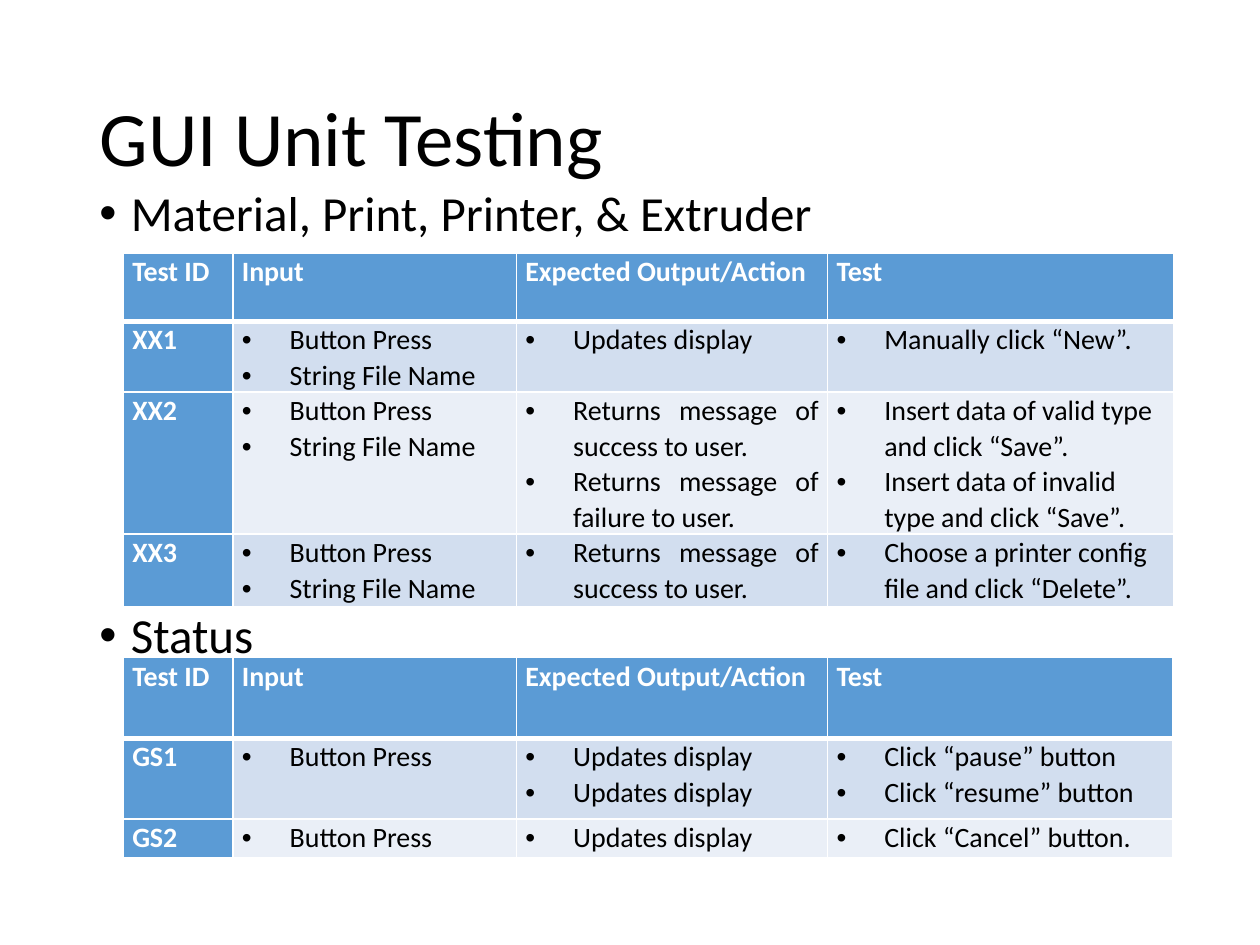
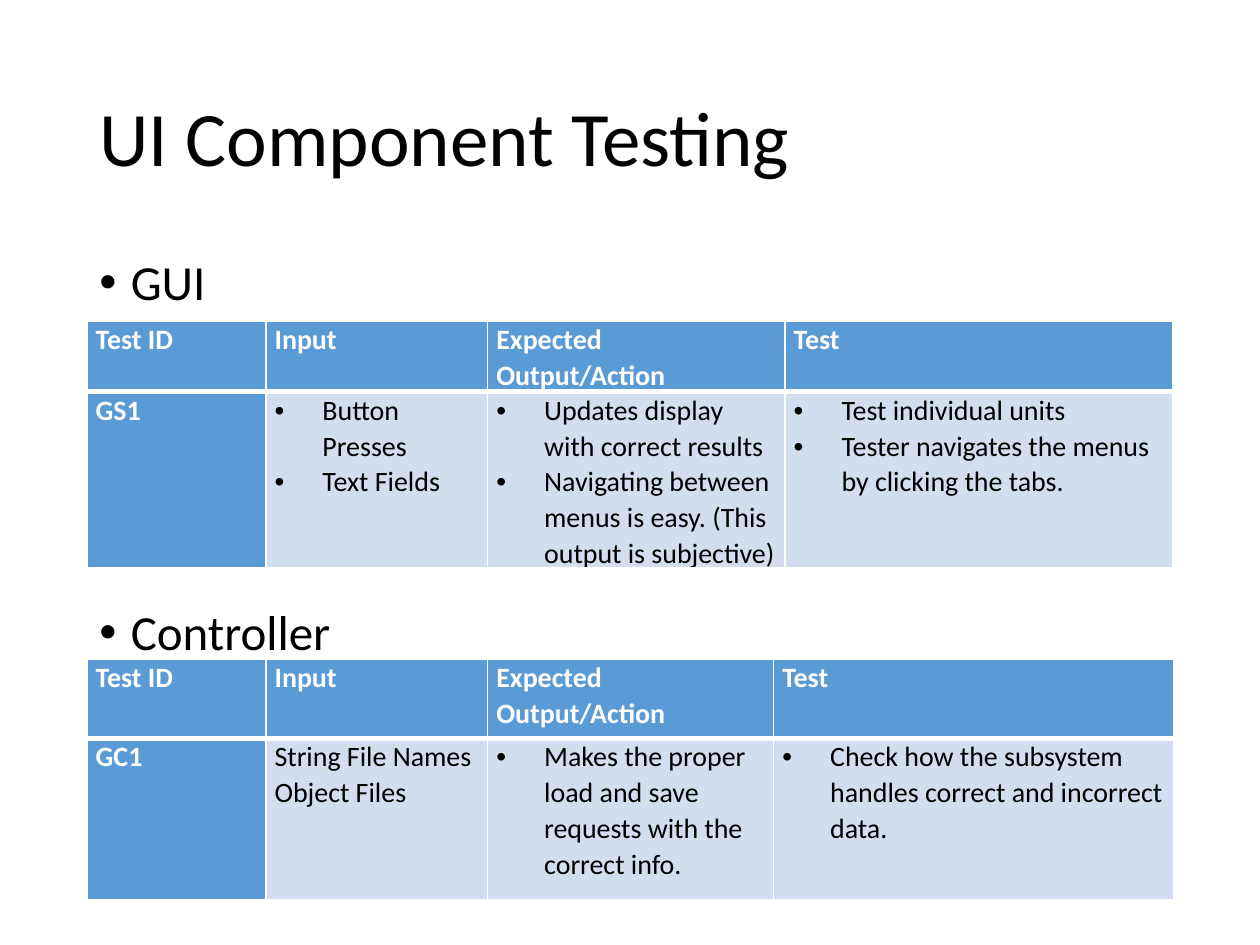
from pptx import Presentation
from pptx.dml.color import RGBColor
from pptx.enum import text
from pptx.oxml import parse_xml
from pptx.oxml.ns import nsdecls
from pptx.util import Inches, Pt

FONT = "Calibri"
BLACK = RGBColor(0x00, 0x00, 0x00)
WHITE = RGBColor(0xFF, 0xFF, 0xFF)
BLUE = RGBColor(0x5B, 0x9B, 0xD5)
BANDS = [RGBColor(0xD2, 0xDE, 0xEF), RGBColor(0xEA, 0xEF, 0xF7)]
LEFT, JUSTIFY = text.PP_ALIGN.LEFT, text.PP_ALIGN.JUSTIFY
HEADER = ["Test ID", "Input", "Expected Output/Action", "Test"]

# Cells hold a list of paragraphs; "plain" names cells (row, column) without bullets
SLIDES = [
    {
        "title": "GUI Unit Testing",
        "headings": ["Material, Print, Printer, & Extruder", "Status"],
        "headings_top": 1.45,
        "heading_gap": 211,
        "output_align": JUSTIFY,
        "tables": [
            {
                "left": 0.98, "top": 2.01, "plain": [],
                "columns": [0.87, 2.25, 2.47, 2.75],
                "heights": [0.54, 0.56, 1.13, 0.58],
                "rows": [
                    ["XX1", ["Button Press", "String File Name"],
                     ["Updates display"], ["Manually click “New”."]],
                    ["XX2", ["Button Press", "String File Name"],
                     ["Returns message of success to user.",
                      "Returns message of failure to user."],
                     ["Insert data of valid type and click “Save”.",
                      "Insert data of invalid type and click “Save”."]],
                    ["XX3", ["Button Press", "String File Name"],
                     ["Returns message of success to user."],
                     ["Choose a printer config file and click “Delete”."]],
                ],
            },
            {
                "left": 0.98, "top": 5.22, "plain": [],
                "columns": [0.87, 2.25, 2.47, 2.74],
                "heights": [0.64, 0.64, 0.31],
                "rows": [
                    ["GS1", ["Button Press"], ["Updates display", "Updates display"],
                     ["Click “pause” button", "Click “resume” button"]],
                    ["GS2", ["Button Press"], ["Updates display"],
                     ["Click “Cancel” button."]],
                ],
            },
        ],
    },
    {
        "title": "UI Component Testing",
        "headings": ["GUI", "Controller"],
        "headings_top": 2,
        "heading_gap": 170,
        "output_align": LEFT,
        "tables": [
            {
                "left": 0.69, "top": 2.55, "plain": [],
                "columns": [1.42, 1.76, 2.36, 3.08],
                "heights": [0.52, 1.33],
                "rows": [
                    ["GS1", ["Button Presses", "Text Fields"],
                     ["Updates display with correct results",
                      "Navigating between menus is easy. (This output is subjective)"],
                     ["Test individual units",
                      "Tester navigates the menus by clicking the tabs."]],
                ],
            },
            {
                "left": 0.69, "top": 5.23, "plain": [(1, 1)],
                "columns": [1.42, 1.76, 2.27, 3.18],
                "heights": [0.63, 1.28],
                "rows": [
                    ["GC1", ["String File Names", "Object Files"],
                     ["Makes the proper load and save requests with the correct info."],
                     ["Check how the subsystem handles correct and incorrect data."]],
                ],
            },
        ],
    },
]


def write_para(para, words, size, spacing, align=LEFT, color=BLACK, bold=False, indent=0):
    """Fill one paragraph; an indent above zero gives it a hanging bullet."""
    if indent:
        props = para._p.get_or_add_pPr()
        props.set("marL", str(Inches(indent)))
        props.set("indent", str(-Inches(indent)))
        props.append(parse_xml(f'<a:buFont {nsdecls("a")} typeface="Arial"/>'))
        props.append(parse_xml(f'<a:buChar {nsdecls("a")} char="•"/>'))
    para.alignment = align
    para.line_spacing = spacing
    span = para.add_run()
    span.text = words
    span.font.name = FONT
    span.font.size = Pt(size)
    span.font.bold = bold
    span.font.color.rgb = color


def style_cell(cell, fill, top_width, bottom_width):
    """Set the fill, margins and white borders of one cell."""
    cell.fill.solid()
    cell.fill.fore_color.rgb = fill
    cell.margin_left = cell.margin_right = Inches(0.07)
    cell.margin_top = cell.margin_bottom = 0
    props = cell._tc.get_or_add_tcPr()
    sides = [("lnL", 1), ("lnR", 1), ("lnT", top_width), ("lnB", bottom_width)]
    for place, (side, width) in enumerate(sides):
        props.insert(place, parse_xml(
            f'<a:{side} {nsdecls("a")} w="{Pt(width)}"><a:solidFill>'
            f'<a:srgbClr val="{WHITE}"/></a:solidFill></a:{side}>'))


deck = Presentation()
deck.slide_width, deck.slide_height = Inches(10), Inches(7.5)

for content in SLIDES:
    page = deck.slides.add_slide(deck.slide_layouts[5])

    # Title
    title = page.shapes.title
    title.left, title.top = Inches(0.69), Inches(0.4)
    title.width, title.height = Inches(8.62), Inches(1.45)
    title.text_frame.auto_size = text.MSO_AUTO_SIZE.NONE
    title.text_frame.vertical_anchor = text.MSO_ANCHOR.MIDDLE
    write_para(title.text_frame.paragraphs[0], content["title"], 44, 0.9)

    # Headings above the two tables
    box = page.shapes.add_textbox(
        Inches(0.69), Inches(content["headings_top"]), Inches(8.62), Inches(4.76))
    box.text_frame.word_wrap = True
    first, second = content["headings"]
    write_para(box.text_frame.paragraphs[0], first, 28, 0.9, indent=0.25)
    para = box.text_frame.add_paragraph()
    write_para(para, second, 28, 0.9, indent=0.25)
    para.space_before = Pt(content["heading_gap"])

    # Test tables
    for plan in content["tables"]:
        rows = [HEADER] + plan["rows"]
        table = page.shapes.add_table(
            len(rows), len(HEADER), Inches(plan["left"]), Inches(plan["top"]),
            Inches(sum(plan["columns"])), Inches(sum(plan["heights"]))).table
        for column, width in zip(table.columns, plan["columns"]):
            column.width = Inches(width)
        for row, height in zip(table.rows, plan["heights"]):
            row.height = Inches(height)

        for r, row in enumerate(rows):
            for c, entry in enumerate(row):
                cell = table.cell(r, c)
                label = r == 0 or c == 0
                style_cell(cell, BLUE if label else BANDS[(r - 1) % 2],
                           3 if r == 1 else 1, 3 if r == 0 else 1)
                if label:
                    write_para(cell.text_frame.paragraphs[0], entry, 16, 1.05,
                               JUSTIFY, WHITE, bold=True)
                    continue
                align = content["output_align"] if c == 2 else LEFT
                indent = 0 if (r, c) in plan["plain"] else 0.38
                for i, words in enumerate(entry):
                    frame = cell.text_frame
                    para = frame.add_paragraph() if i else frame.paragraphs[0]
                    write_para(para, words, 16, 1.05, align, indent=indent)

deck.save("out.pptx")
